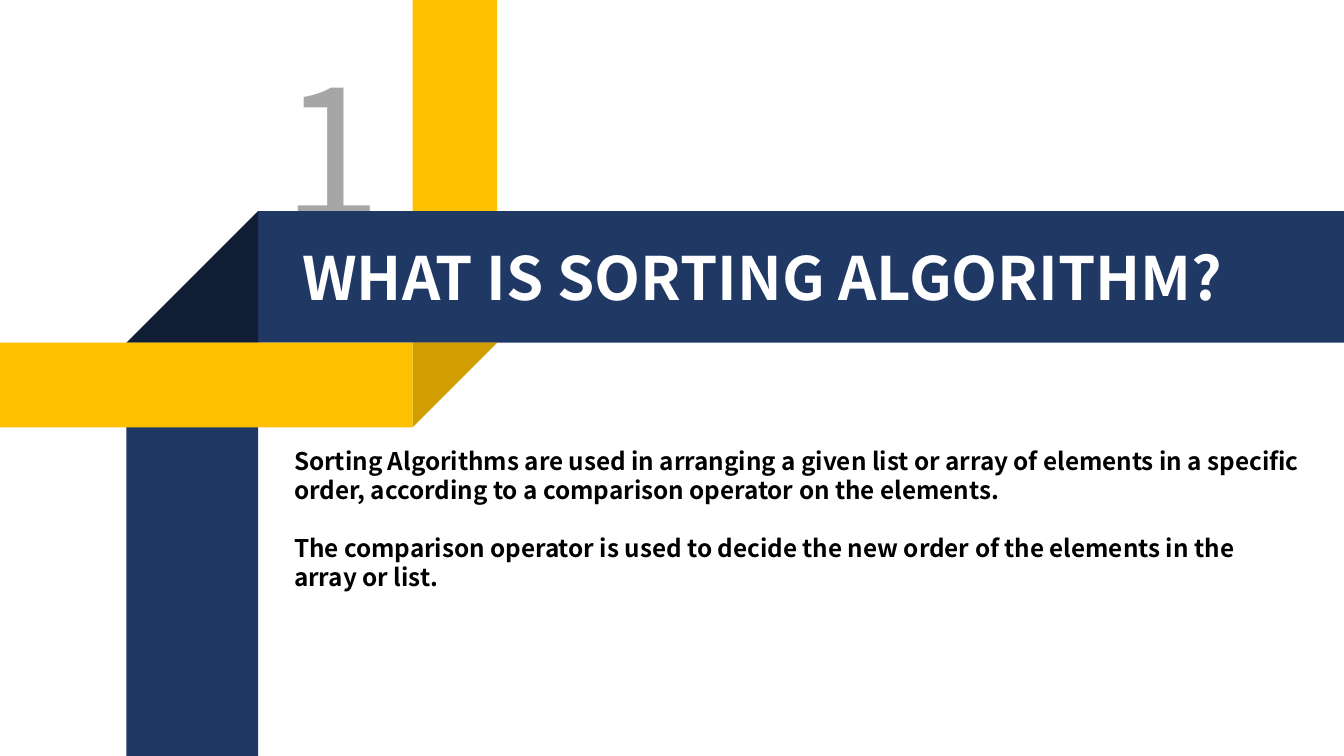
import pptx
import pptx.util
import pptx.dml.color
import pptx.enum.shapes
import pptx.enum.text

Inches = pptx.util.Inches
Pt = pptx.util.Pt
Shape = pptx.enum.shapes.MSO_SHAPE

COLORS = {
    "navy": "203864", "dark": "111E35", "gold": "FFC000",
    "shade": "D09E00", "gray": "A6A6A6", "white": "FFFFFF", "black": "000000",
}


class Deck:
    font = "Noto Sans CJK SC"
    pitch = 1.2  # line height as a share of the text size

    def __init__(self, wide, high):
        self.show = pptx.Presentation()
        self.show.slide_width = Inches(wide)
        self.show.slide_height = Inches(high)
        self.slide = self.show.slides.add_slide(self.show.slide_layouts[6])

    def color(self, name):
        return pptx.dml.color.RGBColor.from_string(COLORS[name])

    def block(self, left, top, wide, high, color, kind=Shape.RECTANGLE, turn=0):
        shape = self.slide.shapes.add_shape(
            kind, Inches(left), Inches(top), Inches(wide), Inches(high))
        shape.fill.solid()
        shape.fill.fore_color.rgb = self.color(color)
        shape.line.fill.background()
        shape.shadow.inherit = False
        shape.rotation = turn

    def fold(self, left, top, side, color, turn):
        self.block(left, top, side, side, color, Shape.RIGHT_TRIANGLE, turn)

    def text(self, left, top, wide, high, lines, size, color, bold=True, wrap=True):
        box = self.slide.shapes.add_textbox(
            Inches(left), Inches(top), Inches(wide), Inches(high))
        frame = box.text_frame
        frame.word_wrap = wrap
        frame.auto_size = pptx.enum.text.MSO_AUTO_SIZE.NONE
        frame.text = "\n".join(lines)
        for par in frame.paragraphs:
            par.line_spacing = Pt(self.pitch * size)
            for run in par.runs:
                run.font.name = self.font
                run.font.size = Pt(size)
                run.font.bold = bold
                run.font.color.rgb = self.color(color)
        # One empty line's worth of space between paragraphs
        for par in frame.paragraphs[:-1]:
            par.space_after = Pt(self.pitch * size)


def main():
    wide = 10
    high = wide * 9 / 16
    navy, gold = 0.98, 0.63  # ribbon widths
    left, top = 0.94, 1.57   # corner of the navy ribbon
    edge, base = left + navy, top + navy
    bend = 3.07              # where the gold ribbon folds

    deck = Deck(wide, high)

    # Upright gold ribbon and section number
    deck.block(bend, 0, gold, base, "gold")
    deck.text(2, 0.25, 0.99, 1.72, ["1"], 96, "gray", bold=False, wrap=False)

    # Navy ribbon with its fold and title
    deck.block(left, base, navy, high - base, "navy")
    deck.block(edge, top, wide - edge, navy, "navy")
    deck.fold(left, top, navy, "dark", 270)
    deck.text(2.15, 1.74, 7.55, 0.64, ["WHAT IS SORTING ALGORITHM?"],
              32, "white", wrap=False)

    # Level gold ribbon with its fold
    deck.fold(bend, base, gold, "shade", 90)
    deck.block(0, base, bend, gold, "gold")

    # Body
    deck.text(2.09, 3.27, 7.68, 1.19, [
        "Sorting Algorithms are used in arranging a given list or array of "
        "elements in a specific order, according to a comparison operator "
        "on the elements.",
        "The comparison operator is used to decide the new order of the "
        "elements in the array or list.",
    ], 13, "black")

    deck.show.save("out.pptx")


if __name__ == "__main__":
    main()
